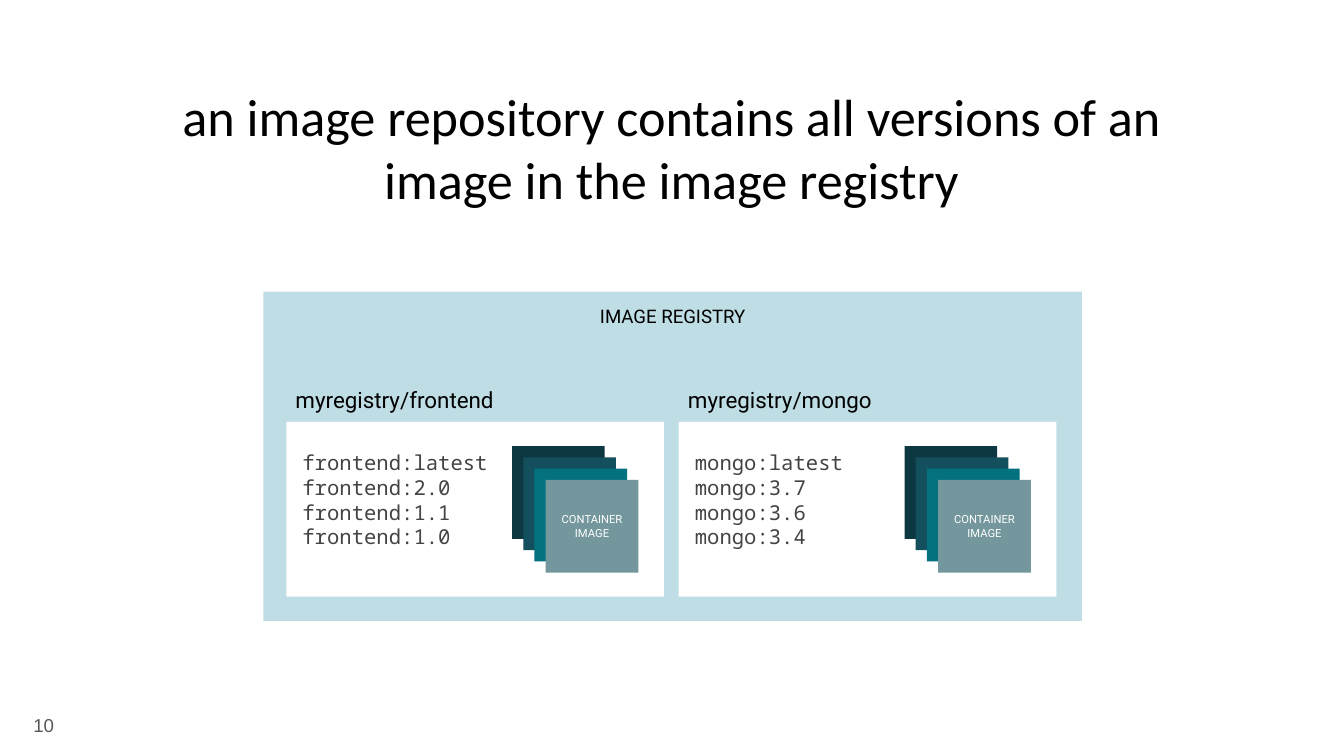
from dataclasses import dataclass

from lxml import etree
from pptx import Presentation
from pptx.dml.color import RGBColor
from pptx.enum.shapes import MSO_SHAPE
from pptx.enum.text import MSO_ANCHOR, MSO_AUTO_SIZE, PP_ALIGN
from pptx.oxml.ns import qn
from pptx.util import Inches, Pt

RECTANGLE = MSO_SHAPE.RECTANGLE
LEFT, CENTER, RIGHT = PP_ALIGN.LEFT, PP_ALIGN.CENTER, PP_ALIGN.RIGHT
TOP, MIDDLE, BOTTOM = MSO_ANCHOR.TOP, MSO_ANCHOR.MIDDLE, MSO_ANCHOR.BOTTOM

BLACK = RGBColor(0x00, 0x00, 0x00)
WHITE = RGBColor(0xFF, 0xFF, 0xFF)
TAG_GRAY = RGBColor(0x43, 0x43, 0x43)
NUMBER_GRAY = RGBColor(0x59, 0x59, 0x59)
REGISTRY_BLUE = RGBColor(0xBF, 0xDD, 0xE4)
LAYER_COLORS = [
    RGBColor(0x0D, 0x37, 0x41),
    RGBColor(0x13, 0x4F, 0x5C),
    RGBColor(0x03, 0x71, 0x7E),
    RGBColor(0x73, 0x97, 0x9C),
]

SLIDE_WIDTH = 10
SLIDE_HEIGHT = SLIDE_WIDTH * 9 / 16
REPOSITORY_LEFT = 2.13
REPOSITORY_STRIDE = 2.92
LAYER_SIZE = 0.69
LAYER_STEP = 0.25 / 3


@dataclass
class TextStyle:
    font: str
    size: float
    color: RGBColor
    align: PP_ALIGN = LEFT
    anchor: MSO_ANCHOR = TOP
    line_spacing: object = 1.0


@dataclass
class Repository:
    heading: str
    tags: list[str]


TITLE = TextStyle("Calibri", 28, BLACK, CENTER, BOTTOM)
NUMBER = TextStyle("Arial", 10, NUMBER_GRAY, RIGHT, MIDDLE)
REGISTRY = TextStyle("Roboto", 10, BLACK, CENTER)
HEADING = TextStyle("Roboto", 12, BLACK)
TAGS = TextStyle("Noto Sans Mono", 11, TAG_GRAY, line_spacing=Pt(13.2))
IMAGE_LABEL = TextStyle("Roboto", 6, WHITE, CENTER, MIDDLE)

REPOSITORIES = [
    Repository("myregistry/frontend",
               ["frontend:latest", "frontend:2.0", "frontend:1.1", "frontend:1.0"]),
    Repository("myregistry/mongo",
               ["mongo:latest", "mongo:3.7", "mongo:3.6", "mongo:3.4"]),
]


def write(shape, lines: list[str], style: TextStyle) -> None:
    """Fill a shape with one unbulleted paragraph per line."""
    frame = shape.text_frame
    frame.text = "\n".join(lines)
    frame_format = {
        "word_wrap": True,
        "auto_size": MSO_AUTO_SIZE.NONE,
        "vertical_anchor": style.anchor,
        **{f"margin_{side}": Inches(0.1) for side in ("left", "top", "right", "bottom")},
    }
    for name, value in frame_format.items():
        setattr(frame, name, value)
    paragraph_format = {
        "alignment": style.align,
        "line_spacing": style.line_spacing,
        "space_before": Pt(0),
        "space_after": Pt(0),
    }
    for paragraph in frame.paragraphs:
        for name, value in paragraph_format.items():
            setattr(paragraph, name, value)
        properties = paragraph._p.get_or_add_pPr()
        properties.set("marL", "0")
        properties.set("indent", "0")
        etree.SubElement(properties, qn("a:buNone"))
        paragraph.font.name = style.font
        paragraph.font.size = Pt(style.size)
        paragraph.font.color.rgb = style.color


def place(shape, left: float, top: float, width: float, height: float) -> None:
    bounds = {"left": left, "top": top, "width": width, "height": height}
    for name, value in bounds.items():
        setattr(shape, name, Inches(value))


def add_box(shapes, left: float, top: float, width: float, height: float,
            color: RGBColor):
    box = shapes.add_shape(RECTANGLE, Inches(left), Inches(top),
                           Inches(width), Inches(height))
    box.shadow.inherit = False
    box.fill.solid()
    box.fill.fore_color.rgb = color
    box.line.fill.background()
    return box


def add_label(slide, left: float, top: float, width: float, height: float,
              text: str, style: TextStyle) -> None:
    label = slide.shapes.add_textbox(Inches(left), Inches(top),
                                     Inches(width), Inches(height))
    write(label, [text], style)


def add_image_stack(slide, left: float, top: float) -> None:
    stack = slide.shapes.add_group_shape()
    for index, color in enumerate(LAYER_COLORS):
        offset = index * LAYER_STEP
        layer = add_box(stack.shapes, left + offset, top + offset,
                        LAYER_SIZE, LAYER_SIZE, color)
    # The front layer carries the label
    write(layer, ["CONTAINER\vIMAGE"], IMAGE_LABEL)


def add_repository(slide, repository: Repository, tag_list, left: float) -> None:
    add_box(slide.shapes, left, 3.14, 2.81, 1.3, WHITE)
    place(tag_list, left + 0.02, 3.25, 2.07, 1.12)
    write(tag_list, repository.tags, TAGS)
    # Bring the list in front of its white panel
    slide.shapes._spTree.append(tag_list._element)
    add_image_stack(slide, left + 1.68, 3.32)
    add_label(slide, left - 0.03, 2.77, 2.28, 0.28, repository.heading, HEADING)


def main() -> None:
    presentation = Presentation()
    presentation.slide_width = Inches(SLIDE_WIDTH)
    presentation.slide_height = Inches(SLIDE_HEIGHT)
    slide = presentation.slides.add_slide(
        presentation.slide_layouts.get_by_name("Two Content"))
    title, *tag_lists = slide.placeholders

    # Title and slide number
    place(title, 0.9, 0.5, 8.19, 1.16)
    write(title, ["an image repository contains all versions of an image "
                  "in the image registry"], TITLE)
    add_label(slide, 0.11, 5.18, 0.39, 0.43, "10", NUMBER)

    # Registry with its repositories
    registry = add_box(slide.shapes, 1.96, 2.17, 6.09, 2.45, REGISTRY_BLUE)
    write(registry, ["IMAGE REGISTRY"], REGISTRY)
    for index, (repository, tag_list) in enumerate(zip(REPOSITORIES, tag_lists)):
        add_repository(slide, repository, tag_list,
                       REPOSITORY_LEFT + index * REPOSITORY_STRIDE)

    presentation.save("out.pptx")


if __name__ == "__main__":
    main()
